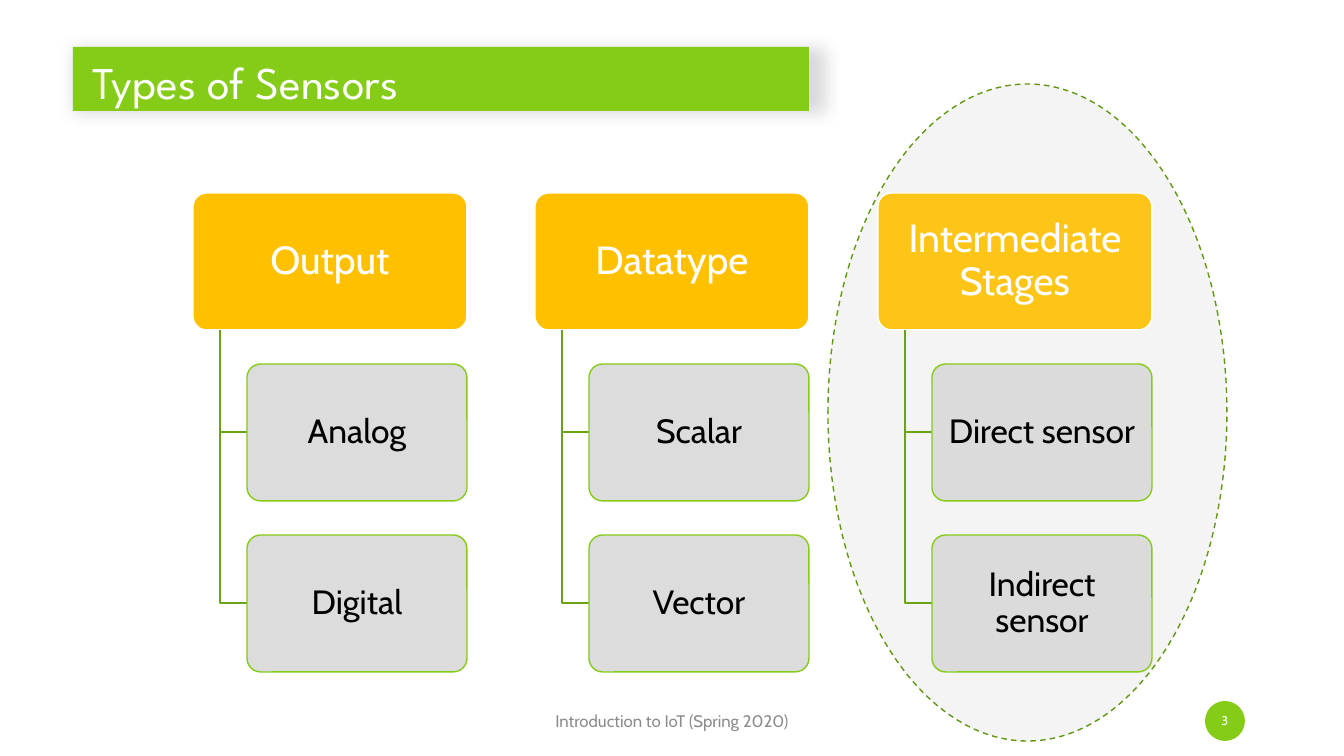
import pptx
import pptx.util
import pptx.dml.color
import pptx.enum.dml
import pptx.enum.shapes
import pptx.enum.text
import pptx.oxml
import pptx.oxml.ns
from lxml import etree

EMU_PER_PX = 914400 / 100.8
COLORS = {
    "green": "85CC18", "stem": "6BA313", "outline": "629712",
    "amber": "FFC000", "gray": "D9D9D9", "highlight": "E7E6E6",
    "footer": "8C8C8C", "white": "FFFFFF", "black": "000000",
}
SHAPE = pptx.enum.shapes.MSO_SHAPE
ALIGN = pptx.enum.text.PP_ALIGN
SHADOW = (
    '<a:effectLst %s><a:outerShdw blurRad="152400" dist="0" sx="102000" sy="102000" '
    'algn="tl" rotWithShape="0"><a:srgbClr val="%s"><a:alpha val="14000"/></a:srgbClr>'
    '</a:outerShdw></a:effectLst>'
) % (pptx.oxml.ns.nsdecls("a"), COLORS["black"])

SENSOR_TYPES = [
    ("Output", ["Analog", "Digital"], 100),
    ("Datatype", ["Scalar", "Vector"], 100),
    ("Intermediate Stages", ["Direct sensor", "Indirect sensor"], 90),
]
HEAD_TEXT = {"size": 28, "color": "white", "insets": (10, 8, 10, 8), "line_spacing": 0.9}
CHILD_TEXT = {"size": 24, "color": "black", "insets": (9, 7, 9, 7), "line_spacing": 0.9}


def px(n):
    return pptx.util.Emu(round(n * EMU_PER_PX))


def rgb(name):
    return pptx.dml.color.RGBColor.from_string(COLORS[name])


def set_attrs(obj, values):
    for name, value in values.items():
        setattr(obj, name, value)


def place(sp, box):
    set_attrs(sp, dict(zip(("left", "top", "width", "height"), map(px, box))))


def paint(sp, fill=None, opacity=100, line=None):
    if fill:
        sp.fill.solid()
        sp.fill.fore_color.rgb = rgb(fill)
        if opacity < 100:
            clr = sp.fill._xPr.find(".//" + pptx.oxml.ns.qn("a:srgbClr"))
            etree.SubElement(clr, pptx.oxml.ns.qn("a:alpha"), val=str(opacity * 1000))
    else:
        sp.fill.background()
    if line:
        sp.line.color.rgb = rgb(line)
        sp.line.width = pptx.util.Pt(1)
    else:
        sp.line.fill.background()


def write(sp, text, size, color, insets, font="Cabin", align=ALIGN.CENTER, line_spacing=1.0):
    tf = sp.text_frame
    set_attrs(tf, {"word_wrap": True, "auto_size": pptx.enum.text.MSO_AUTO_SIZE.NONE,
                   "vertical_anchor": pptx.enum.text.MSO_ANCHOR.MIDDLE})
    sides = ("margin_left", "margin_top", "margin_right", "margin_bottom")
    set_attrs(tf, dict(zip(sides, map(px, insets))))
    p = tf.paragraphs[0]
    set_attrs(p, {"alignment": align, "line_spacing": line_spacing})
    r = p.add_run()
    r.text = text
    set_attrs(r.font, {"name": font, "size": pptx.util.Pt(size), "bold": False})
    r.font.color.rgb = rgb(color)


def add_shape(s, kind, box, fill, opacity=100, line=None):
    sp = s.shapes.add_shape(kind, *map(px, box))
    sp.shadow.inherit = False
    paint(sp, fill, opacity, line)
    return sp


def add_card(s, box, text, text_format, fill, opacity, line):
    sp = add_shape(s, SHAPE.ROUNDED_RECTANGLE, box, fill, opacity, line)
    sp.adjustments[0] = 0.1
    write(sp, text, **text_format)


def add_stem(s, x, top, bottom, right):
    builder = s.shapes.build_freeform(x, top, scale=EMU_PER_PX)
    builder.add_line_segments([(x, bottom), (right, bottom)], close=False)
    sp = builder.convert_to_shape()
    sp.shadow.inherit = False
    paint(sp, line="stem")


def add_title(s, box):
    sp = s.shapes.title
    place(sp, box)
    paint(sp, "green")
    sp._element.spPr.append(pptx.oxml.parse_xml(SHADOW))
    write(sp, "Types of Sensors", 32.4, "white", (20, 5, 20, 0), "League Spartan", ALIGN.LEFT)


def add_highlight(s, box):
    sp = add_shape(s, SHAPE.OVAL, box, "highlight", 42, "outline")
    sp.line.dash_style = pptx.enum.dml.MSO_LINE.DASH


def add_sensor_type(s, box, name, children, head_opacity):
    left, top, width, height = box
    card_h = height * 2 // 7  # three cards with quarter-card gaps
    pitch = card_h * 5 // 4
    indent = width // 5
    add_card(s, (left, top, width, card_h), name, HEAD_TEXT, "amber", head_opacity, "white")
    for i, child in enumerate(children, 1):
        y = top + i * pitch
        add_stem(s, left + indent // 2, top + card_h, y + card_h // 2, left + indent)
        add_card(s, (left + indent, y, width - indent, card_h), child,
                 CHILD_TEXT, "gray", 90, "green")


def add_hierarchy(s, box):
    left, top, width, height = box
    col_w = width * 2 // 7  # three columns with quarter-column gaps
    for i, (name, children, opacity) in enumerate(SENSOR_TYPES):
        x = left + i * col_w * 5 // 4
        add_sensor_type(s, (x, top, col_w, height), name, children, opacity)


def add_footer(s, box):
    left, top, width, height = box
    tb = s.shapes.add_textbox(*map(px, (left, top, 454, height)))
    write(tb, "Introduction to IoT (Spring 2020)", 12, "footer", (10, 5, 10, 5))
    badge_box = (left + width - height, top, height, height)
    badge = add_shape(s, SHAPE.FLOWCHART_CONNECTOR, badge_box, "green")
    write(badge, "3", 9, "white", (0, 5, 0, 5))


prs = pptx.Presentation()
set_attrs(prs, {"slide_width": px(1344), "slide_height": px(756)})
s = prs.slides.add_slide(prs.slide_layouts[5])
add_title(s, (73, 47, 736, 64))
add_highlight(s, (828, 84, 399, 657))
add_hierarchy(s, (193, 193, 959, 480))
add_footer(s, (445, 701, 800, 40))
prs.save("out.pptx")
